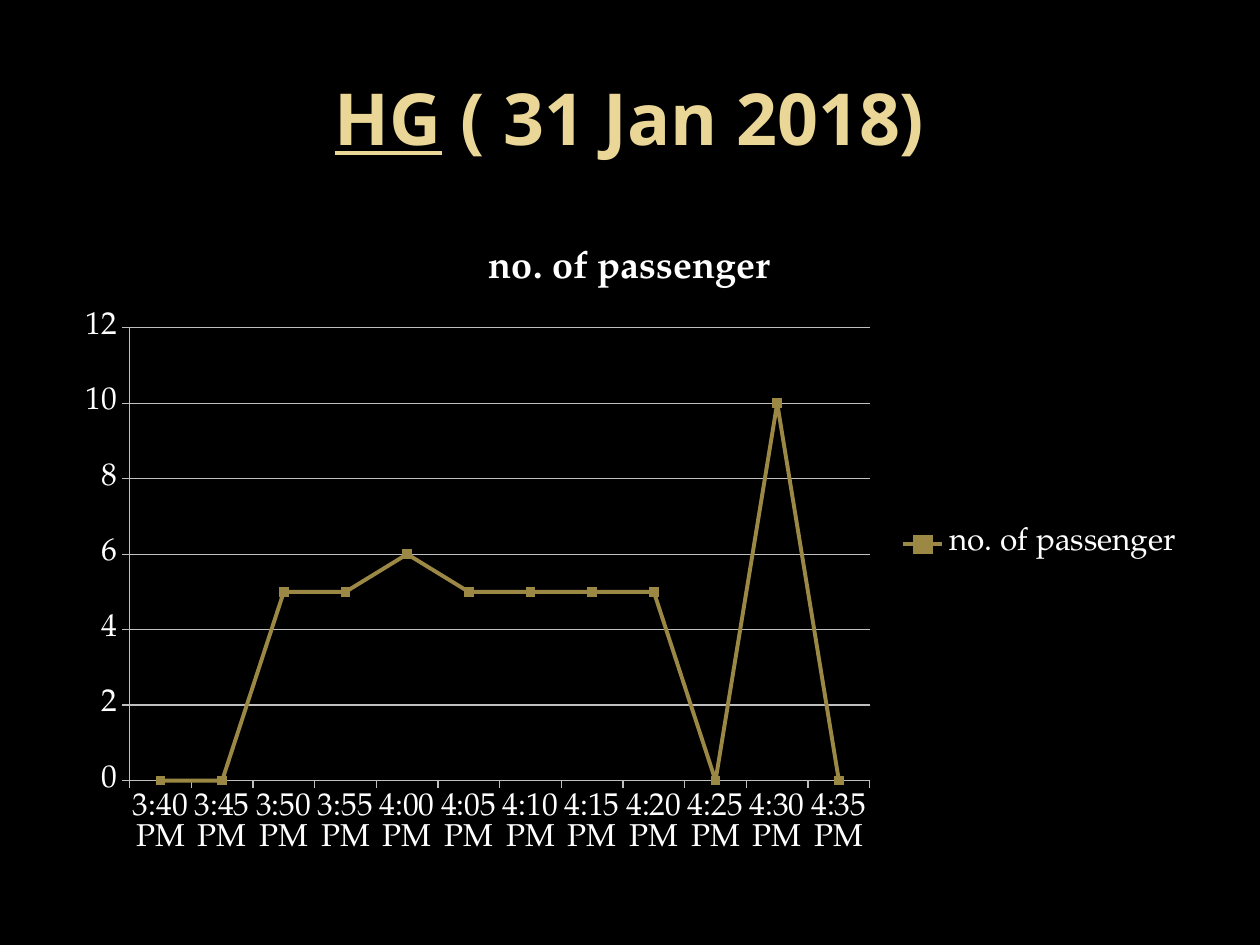
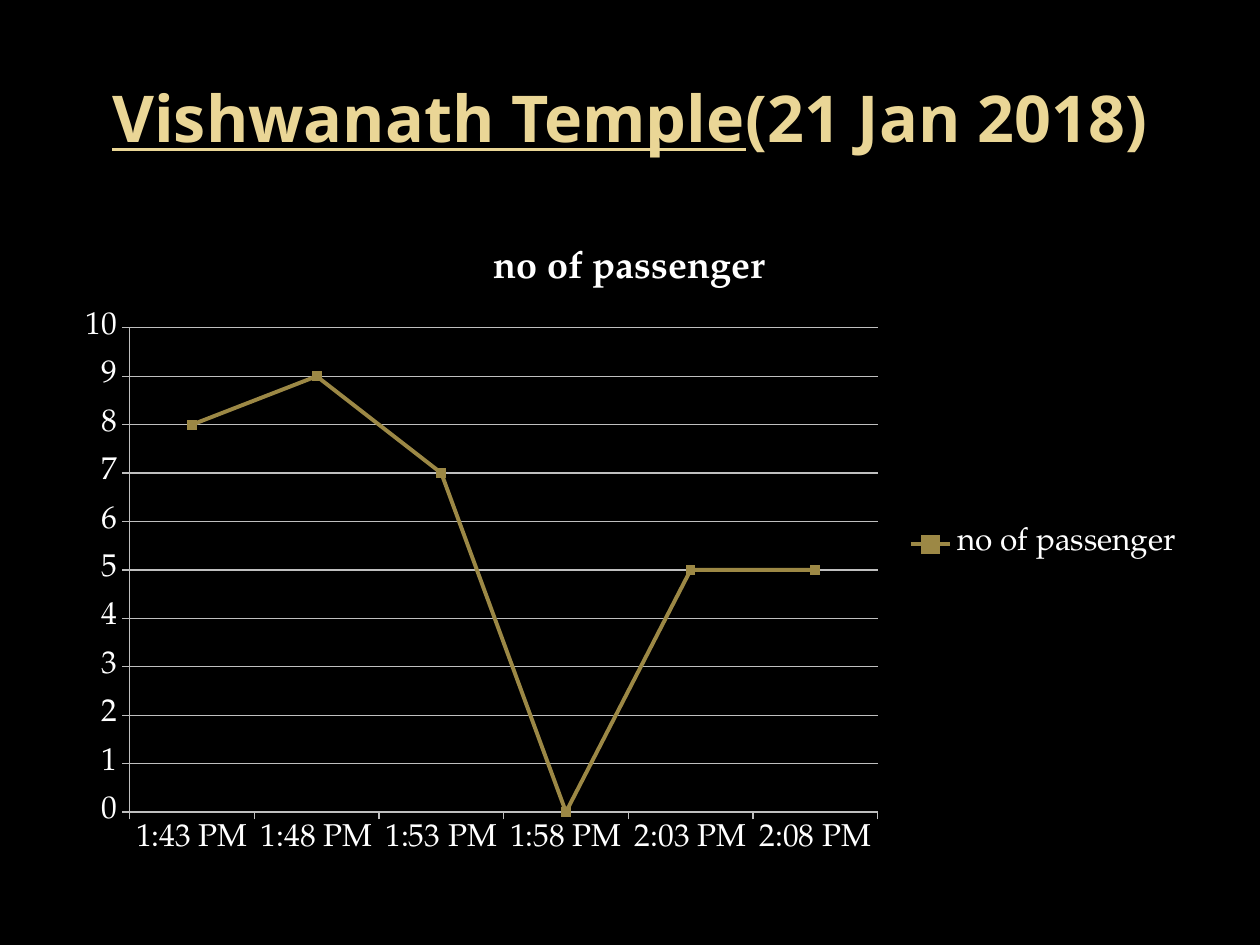
from pptx import Presentation
from pptx.chart.data import CategoryChartData
from pptx.dml.color import RGBColor
from pptx.enum.chart import XL_CHART_TYPE, XL_LEGEND_POSITION, XL_MARKER_STYLE, XL_TICK_MARK
from pptx.enum.text import MSO_ANCHOR, PP_ALIGN
from pptx.util import Emu, Pt

BLACK, WHITE = "000000", "FFFFFF"
TITLE_GOLD, LINE_GOLD, GRID_GREY = "EAD696", "9C8845", "BFBFBF"
TITLE_FONT, CHART_FONT = "Open Sans", "TeX Gyre Pagella"
TITLE_BOX = (63, 38, 1134, 158)
CHART_BOX = (63, 220, 1134, 649)


def px(length):
    """Turn pixels, 126 to the inch, into EMU."""
    return Emu(round(length * 914400 / 126))


def color(hex_string):
    return RGBColor.from_string(hex_string)


surveys = [
    {
        "place": "HG", "date": " ( 31 Jan 2018)", "title_size": 41,
        "series": "no. of passenger",
        "times": [f"{hour}:{minute:02d} PM" for hour, minute in
                  [divmod(3 * 60 + 40 + 5 * step, 60) for step in range(12)]],
        "passengers": [0, 0, 5, 5, 6, 5, 5, 5, 5, 0, 10, 0],
        "maximum": 12, "unit": 2,
    },
    {
        "place": "Vishwanath Temple", "date": "(21 Jan 2018)", "title_size": 36.9,
        "series": "no of passenger",
        "times": [f"{hour}:{minute:02d} PM" for hour, minute in
                  [divmod(60 + 43 + 5 * step, 60) for step in range(6)]],
        "passengers": [8, 9, 7, 0, 5, 5],
        "maximum": 10, "unit": 1,
    },
]

presentation = Presentation()
presentation.slide_width, presentation.slide_height = px(1260), px(945)
background = presentation.slide_master.background.fill
background.solid()
background.fore_color.rgb = color(BLACK)
title_only = presentation.slide_layouts[5]

for survey in surveys:
    slide = presentation.slides.add_slide(title_only)

    # Title: underlined place, then the date
    title = slide.shapes.title
    title.left, title.top, title.width, title.height = map(px, TITLE_BOX)
    title.text_frame.vertical_anchor = MSO_ANCHOR.MIDDLE
    paragraph = title.text_frame.paragraphs[0]
    paragraph.alignment = PP_ALIGN.CENTER
    for text, underlined in [(survey["place"], True), (survey["date"], False)]:
        run = paragraph.add_run()
        run.text = text
        run.font.name = TITLE_FONT
        run.font.size = Pt(survey["title_size"])
        run.font.bold = True
        run.font.underline = underlined
        run.font.color.rgb = color(TITLE_GOLD)

    # Passenger line chart
    chart_data = CategoryChartData()
    chart_data.categories = survey["times"]
    chart_data.add_series(survey["series"], survey["passengers"])
    chart = slide.shapes.add_chart(
        XL_CHART_TYPE.LINE_MARKERS, *map(px, CHART_BOX), chart_data).chart
    chart.font.name = CHART_FONT
    chart.font.size = Pt(18)
    chart.font.color.rgb = color(WHITE)

    chart.has_title = True
    chart.chart_title.include_in_layout = False
    chart.chart_title.text_frame.text = survey["series"]
    title_font = chart.chart_title.text_frame.paragraphs[0].runs[0].font
    title_font.name = CHART_FONT
    title_font.size = Pt(21.6)
    title_font.bold = True
    title_font.color.rgb = color(WHITE)

    chart.has_legend = True
    chart.legend.position = XL_LEGEND_POSITION.RIGHT
    chart.legend.include_in_layout = False

    value_axis = chart.value_axis
    value_axis.minimum_scale = 0
    value_axis.maximum_scale = survey["maximum"]
    value_axis.major_unit = survey["unit"]
    value_axis.has_major_gridlines = True
    for axis in (chart.category_axis, value_axis):
        axis.major_tick_mark = XL_TICK_MARK.OUTSIDE
    for line_format in (chart.category_axis.format.line, value_axis.format.line,
                        value_axis.major_gridlines.format.line):
        line_format.color.rgb = color(GRID_GREY)
        line_format.width = Pt(0.75)

    plot = chart.plots[0]
    plot.vary_by_categories = False
    series = plot.series[0]
    series.smooth = False
    series.format.line.color.rgb = color(LINE_GOLD)
    series.format.line.width = Pt(2.25)
    series.marker.style = XL_MARKER_STYLE.SQUARE
    series.marker.size = 5
    series.marker.format.fill.solid()
    series.marker.format.fill.fore_color.rgb = color(LINE_GOLD)
    series.marker.format.line.color.rgb = color(LINE_GOLD)

presentation.save("out.pptx")
